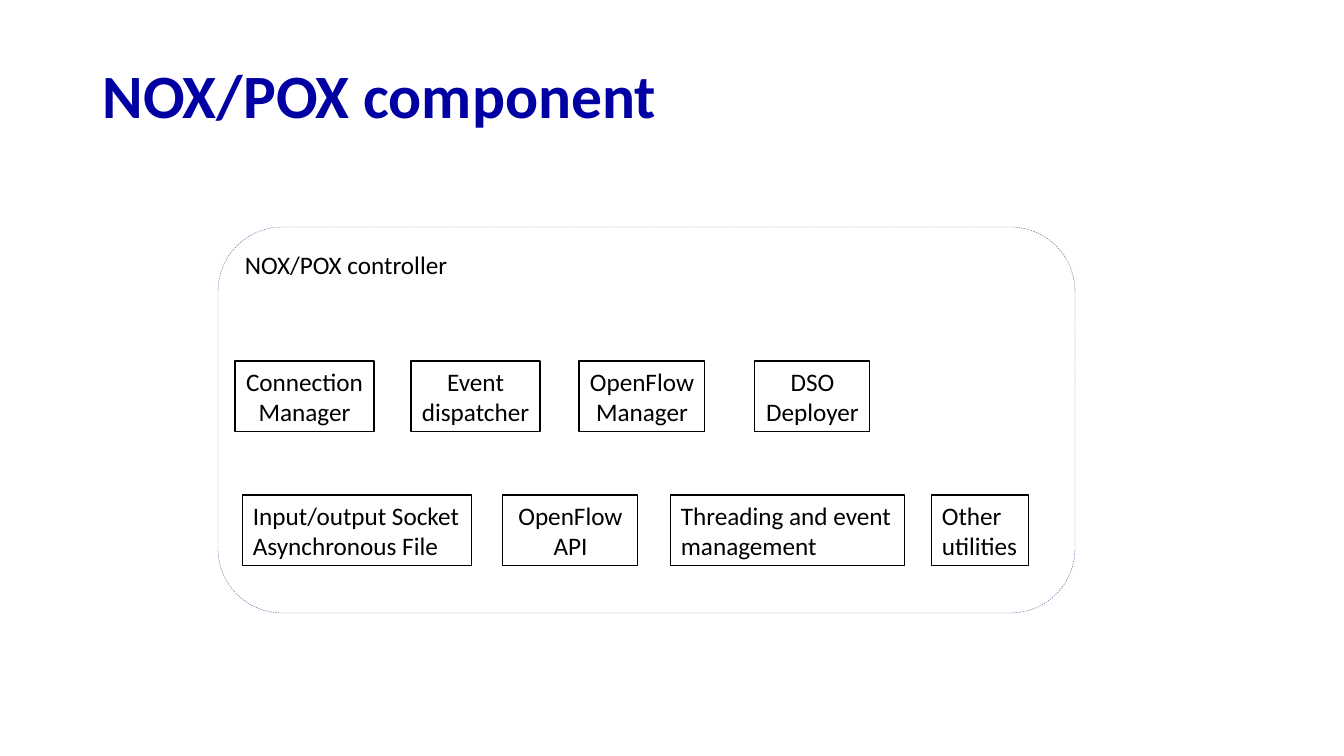
"""Build the NOX/POX component slide."""
from pptx import Presentation
from pptx.dml.color import RGBColor
from pptx.enum.dml import MSO_LINE
from pptx.enum.shapes import MSO_SHAPE
from pptx.enum.text import MSO_ANCHOR, MSO_AUTO_SIZE, PP_ALIGN
from pptx.util import Pt

TITLE = "NOX/POX component"
CONTROLLER = "NOX/POX controller"
LEFT, CENTER = PP_ALIGN.LEFT, PP_ALIGN.CENTER
ROWS = [
    (361, [
        (235, 139, CENTER, ["Connection", "Manager"]),
        (411, 129, CENTER, ["Event", "dispatcher"]),
        (579, 126, CENTER, ["OpenFlow", "Manager"]),
        (755, 115, CENTER, ["DSO", "Deployer"]),
    ]),
    (495, [
        (243, 229, LEFT, ["Input/output Socket", "Asynchronous File"]),
        (503, 135, CENTER, ["OpenFlow", "API"]),
        (671, 234, LEFT, ["Threading and event", "management"]),
        (932, 97, LEFT, ["Other", "utilities"]),
    ]),
]
BOX_HEIGHT = 71
COLORS = {"title": "0000A3", "text": "000000", "frame": "325491"}
FONT = "Calibri"
SCALE = 914400 / 100.8


def color(name):
    return RGBColor.from_string(COLORS[name])


def emu(*lengths):
    return [round(length * SCALE) for length in lengths]


def write(shape, lines, size=18, ink="text", align=LEFT, bold=False):
    frame = shape.text_frame
    frame.text = "\n".join(lines)
    for paragraph in frame.paragraphs:
        paragraph.alignment = align
        paragraph.font.name = FONT
        paragraph.font.size = Pt(size)
        paragraph.font.bold = bold
        paragraph.font.color.rgb = color(ink)
    return frame


def add_outline(slide, kind, bounds, ink, width):
    shape = slide.shapes.add_shape(kind, *emu(*bounds))
    shape.shadow.inherit = False
    shape.fill.background()
    shape.line.color.rgb = color(ink)
    shape.line.width = Pt(width)
    return shape


def fit(frame):
    frame.word_wrap = False
    frame.auto_size = MSO_AUTO_SIZE.SHAPE_TO_FIT_TEXT
    frame.vertical_anchor = MSO_ANCHOR.TOP


def main():
    presentation = Presentation()
    presentation.slide_width, presentation.slide_height = emu(1344, 756)
    slide = presentation.slides.add_slide(presentation.slide_layouts[6])

    title = slide.shapes.add_textbox(*emu(93, 49, 1159, 99))
    frame = write(title, [TITLE], 44, "title", bold=True)
    frame.word_wrap = True
    frame.vertical_anchor = MSO_ANCHOR.MIDDLE
    frame.paragraphs[0].line_spacing = 0.9

    label = slide.shapes.add_textbox(*emu(235, 244, 225, 40))
    fit(write(label, [CONTROLLER]))

    for top, boxes in ROWS:
        for left, width, align, lines in boxes:
            bounds = (left, top, width, BOX_HEIGHT)
            box = add_outline(slide, MSO_SHAPE.RECTANGLE, bounds, "text", 0.75)
            fit(write(box, lines, align=align))

    controller = add_outline(
        slide, MSO_SHAPE.ROUNDED_RECTANGLE, (218, 227, 857, 386), "frame", 0.25)
    controller.line.dash_style = MSO_LINE.DASH
    presentation.save("out.pptx")


if __name__ == "__main__":
    main()
